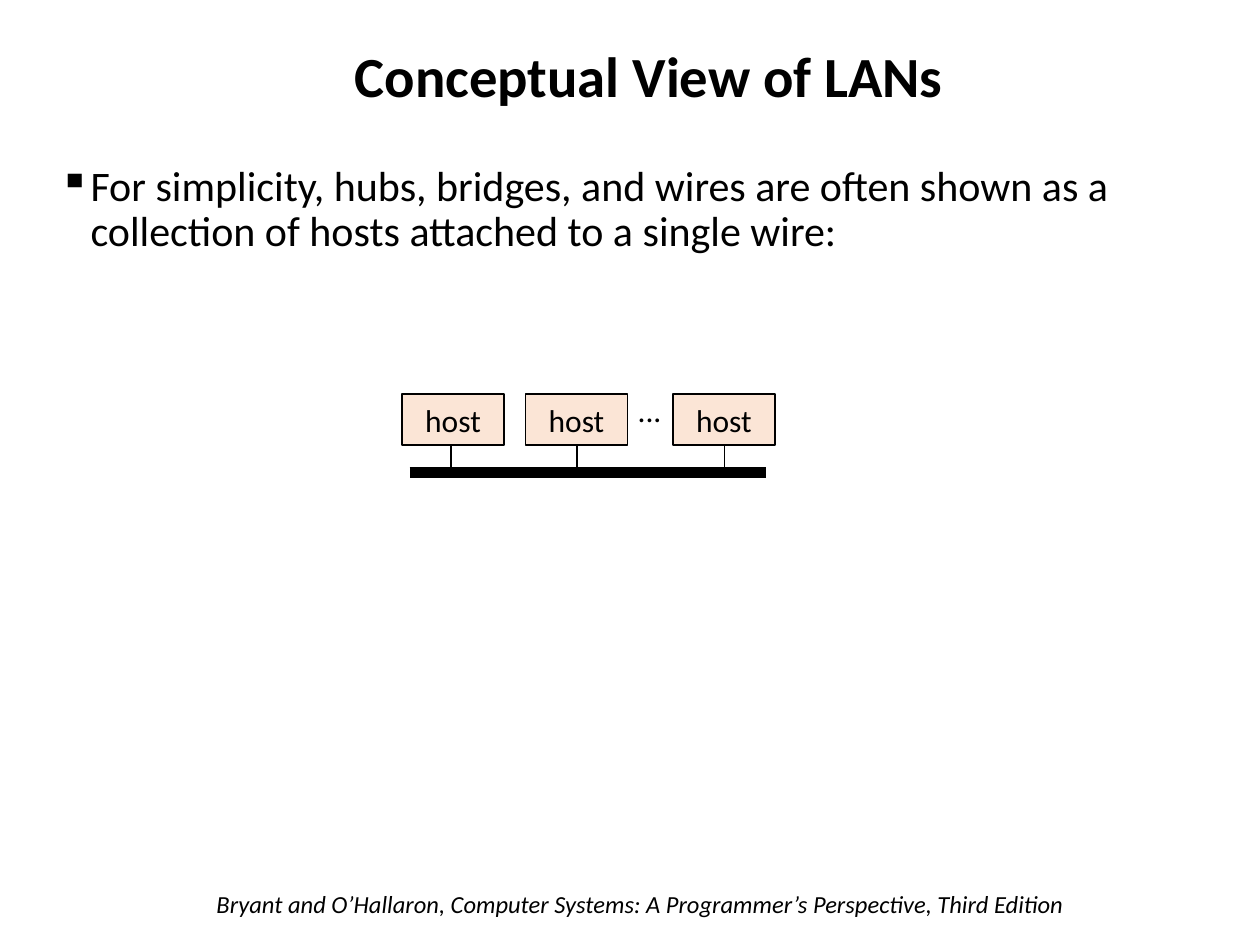
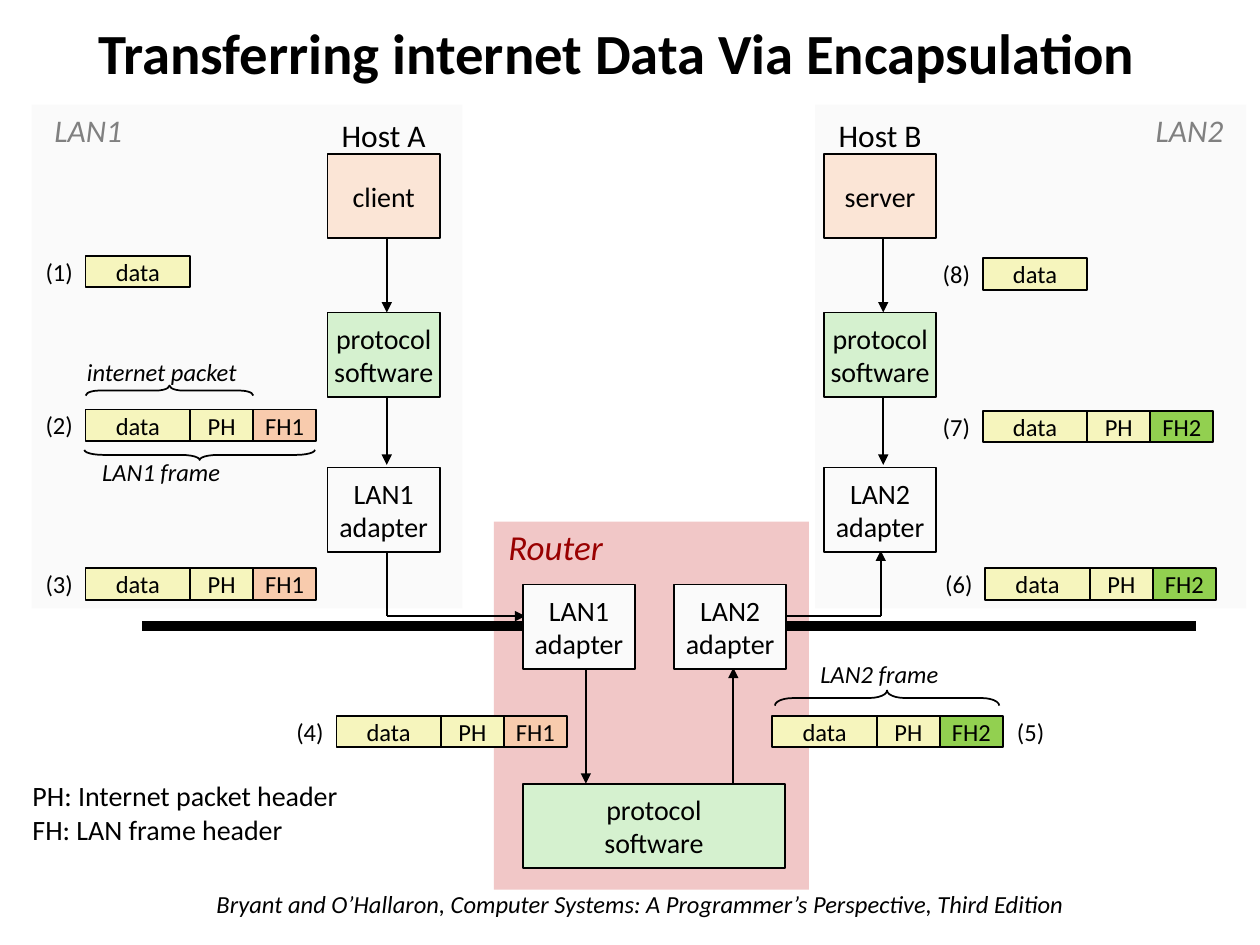
"""Build two slides on local networks and on data encapsulation between them."""
import pptx
import pptx.util
import pptx.dml.color
import pptx.enum.shapes
import pptx.enum.text
import pptx.oxml.ns
import lxml.etree

PX = 9144
FONT = "Calibri"
HEX = {"ink": "000000", "host": "FBE5D6", "soft": "D5F1CF", "pale": "FAFAFA",
       "router": "F1C7C7", "red": "990000", "gray": "808080", "data": "F6F5BD",
       "FH1": "F8CBAD", "FH2": "92D050"}
SHAPE = pptx.enum.shapes.MSO_SHAPE
ALIGN = pptx.enum.text.PP_ALIGN
ANCHOR = pptx.enum.text.MSO_ANCHOR

FOOT = "Bryant and O’Hallaron, Computer Systems: A Programmer’s Perspective, Third Edition"
POINT = "For simplicity, hubs, bridges, and wires are often shown as a collection of hosts attached to a single wire:"
HOSTS = [(319, 358), (417, 458), (534, 575)]
HOST_Y, HOST_W, HOST_H, WIRE_Y = 313, 81, 40, 375

PANELS = [(25, 83, 342, 400, "pale"), (647, 83, 342, 400, "pale"),
          (392, 414, 250, 292, "router")]
WIRES = [(113, 438), (624, 949)]
BOX_W, BOX_H = 89, 67
STACKS = [(260, 307, "Host A", "client", "LAN1"),
          (654, 701, "Host B", "server", "LAN2")]
ARROWS = [(465, 530, 465, 622), (582, 622, 582, 530),
          (307, 489, 417, 489), (699, 489, 699, 437)]
LINES = [(307, 437, 307, 489), (624, 489, 699, 489)]
ROUTER = [(415, 464, BOX_W, "LAN1\nadapter", "pale"),
          (535, 464, BOX_W, "LAN2\nadapter", "pale"),
          (415, 622, 208, "protocol\nsoftware", "soft")]
FRAMES = [("(1)", 68, 203, None), ("(2)", 68, 325, "FH1"),
          ("(3)", 68, 451, "FH1"), ("(4)", 267, 568, "FH1"),
          ("(5)", 613, 568, "FH2"), ("(6)", 782, 451, "FH2"),
          ("(7)", 780, 326, "FH2"), ("(8)", 780, 205, None)]
DATA_W, HEAD_W, FRAME_H = 83, 50, 25
BRACES = [(68, 306, 133, 8, 90), (67, 357, 183, 8, 270), (615, 548, 178, 12, 90)]
NOTES = [((57, 278, 143, 34), "internet packet", 14, "ink"),
         ((70, 357, 116, 34), "LAN1 frame", 14, "ink"),
         ((640, 518, 116, 34), "LAN2 frame", 14, "ink"),
         ((23, 78, 94, 50), "LAN1", 18, "gray"),
         ((897, 78, 94, 50), "LAN2", 18, "gray"),
         ((392, 412, 98, 44), "Router", 20, "red")]
LEGEND = "PH: Internet packet header\nFH: LAN frame header"


def emu(nums):
    """Turn px into EMU."""
    return [round(n * PX) for n in nums]


def color(name):
    """Look up a colour."""
    return pptx.dml.color.RGBColor.from_string(HEX[name])


def write(shape, text, size, ink="ink", bold=False, italic=False, left=False):
    """Fill a shape with styled text."""
    frame = shape.text_frame
    frame.text = text
    frame.word_wrap = left
    frame.vertical_anchor = ANCHOR.TOP if left else ANCHOR.MIDDLE
    for para in frame.paragraphs:
        para.alignment = ALIGN.LEFT if left else ALIGN.CENTER
        for run in para.runs:
            font = run.font
            font.name, font.size = FONT, pptx.util.Pt(size)
            font.bold, font.italic = bold, italic
            font.color.rgb = color(ink)


def label(slide, at, text, size, **style):
    """Add a text box."""
    box = slide.shapes.add_textbox(*emu(at))
    write(box, text, size, **style)
    return box


def block(slide, at, fill, text="", size=16, edge=True):
    """Add a filled rectangle."""
    box = slide.shapes.add_shape(SHAPE.RECTANGLE, *emu(at))
    box.shadow.inherit = False
    box.fill.solid()
    box.fill.fore_color.rgb = color(fill)
    if edge:
        box.line.color.rgb = color("ink")
        box.line.width = pptx.util.Pt(1)
    else:
        box.line.fill.background()
    if text:
        write(box, text, size)


def line(slide, ends, width=1, arrow=False):
    """Add a straight line, with an arrowhead if asked."""
    link = slide.shapes.add_connector(pptx.enum.shapes.MSO_CONNECTOR.STRAIGHT, *emu(ends))
    link.line.color.rgb = color("ink")
    link.line.width = pptx.util.Pt(width)
    if arrow:
        tail = lxml.etree.SubElement(link.line._get_or_add_ln(), pptx.oxml.ns.qn("a:tailEnd"))
        tail.set("type", "triangle")
    lxml.etree.SubElement(link._element.spPr, pptx.oxml.ns.qn("a:effectLst"))


def brace(slide, x, y, wide, high, turn):
    """Add a lying brace that covers the given area."""
    at = (x + (wide - high) / 2, y + (high - wide) / 2, high, wide)
    mark = slide.shapes.add_shape(SHAPE.LEFT_BRACE, *emu(at))
    mark.shadow.inherit = False
    mark.rotation = turn
    mark.adjustments[0] = 0.08 * wide / high
    mark.fill.background()
    mark.line.color.rgb = color("ink")
    mark.line.width = pptx.util.Pt(1)


def start(deck, title, at):
    """Add a slide with its title and footer."""
    slide = deck.slides.add_slide(deck.slide_layouts[6])
    label(slide, (162, 701, 710, 34), FOOT, 14, italic=True, left=True)
    head = label(slide, at, title, 32.4, bold=True)
    head.text_frame.paragraphs[0].line_spacing = 0.9
    return slide


def concept(deck):
    """Build the slide with hosts on one wire."""
    slide = start(deck, "Conceptual View of LANs", (131, 31, 768, 63))
    body = label(slide, (37, 126, 909, 132), POINT, 24, left=True)
    para = body.text_frame.paragraphs[0]
    para.line_spacing = 0.9
    props = para._p.get_or_add_pPr()
    props.set("marL", str(25 * PX))
    props.set("indent", str(-25 * PX))
    lxml.etree.SubElement(props, pptx.oxml.ns.qn("a:buChar")).set("char", "▪")
    line(slide, (325, WIRE_Y, 608, WIRE_Y), 6)
    for x, drop in HOSTS:
        line(slide, (drop, 342, drop, WIRE_Y))
        block(slide, (x, HOST_Y, HOST_W, HOST_H), "host", "host", 18)
    label(slide, (492, 305, 47, 40), "...", 18)


def packet(slide, step, x, y, head):
    """Draw a numbered frame with its headers."""
    cells = [("data", DATA_W, "data")]
    if head:
        cells += [("PH", HEAD_W, "data"), (head, HEAD_W, head)]
    spot = x - 43
    for text, wide, fill in cells:
        block(slide, (x, y, wide, FRAME_H), fill, text, 14)
        x += wide
    if step == "(5)":
        spot = x
    label(slide, (spot, y - 4, 44, 33), step, 14)


def transfer(deck):
    """Build the slide with the path from client to server."""
    slide = start(deck, "Transferring internet Data Via Encapsulation", (6, 13, 967, 63))
    for *at, fill in PANELS:
        block(slide, at, fill, edge=False)
    for left, right in WIRES:
        line(slide, (left, 497, right, 497), 6)
    for ends in LINES:
        line(slide, ends)
    for ends in ARROWS:
        line(slide, ends, arrow=True)
    for x, mid, host, app, lan in STACKS:
        label(slide, (x, 87, BOX_W, 40), host, 18)
        line(slide, (mid, 190, mid, 248), arrow=True)
        line(slide, (mid, 315, mid, 369), arrow=True)
        for y, text, fill in ((122, app, "host"), (248, "protocol\nsoftware", "soft"),
                              (371, lan + "\nadapter", "pale")):
            block(slide, (x, y, BOX_W, BOX_H), fill, text)
    for x, y, wide, text, fill in ROUTER:
        block(slide, (x, y, wide, BOX_H), fill, text)
    for frame in FRAMES:
        packet(slide, *frame)
    for mark in BRACES:
        brace(slide, *mark)
    for at, text, size, ink in NOTES:
        label(slide, at, text, size, ink=ink, italic=True)
    label(slide, (16, 613, 270, 64), LEGEND, 16, left=True)


def main():
    """Make and save the deck."""
    deck = pptx.Presentation()
    deck.slide_width, deck.slide_height = emu((1000, 750))
    concept(deck)
    transfer(deck)
    deck.save("out.pptx")


if __name__ == "__main__":
    main()
